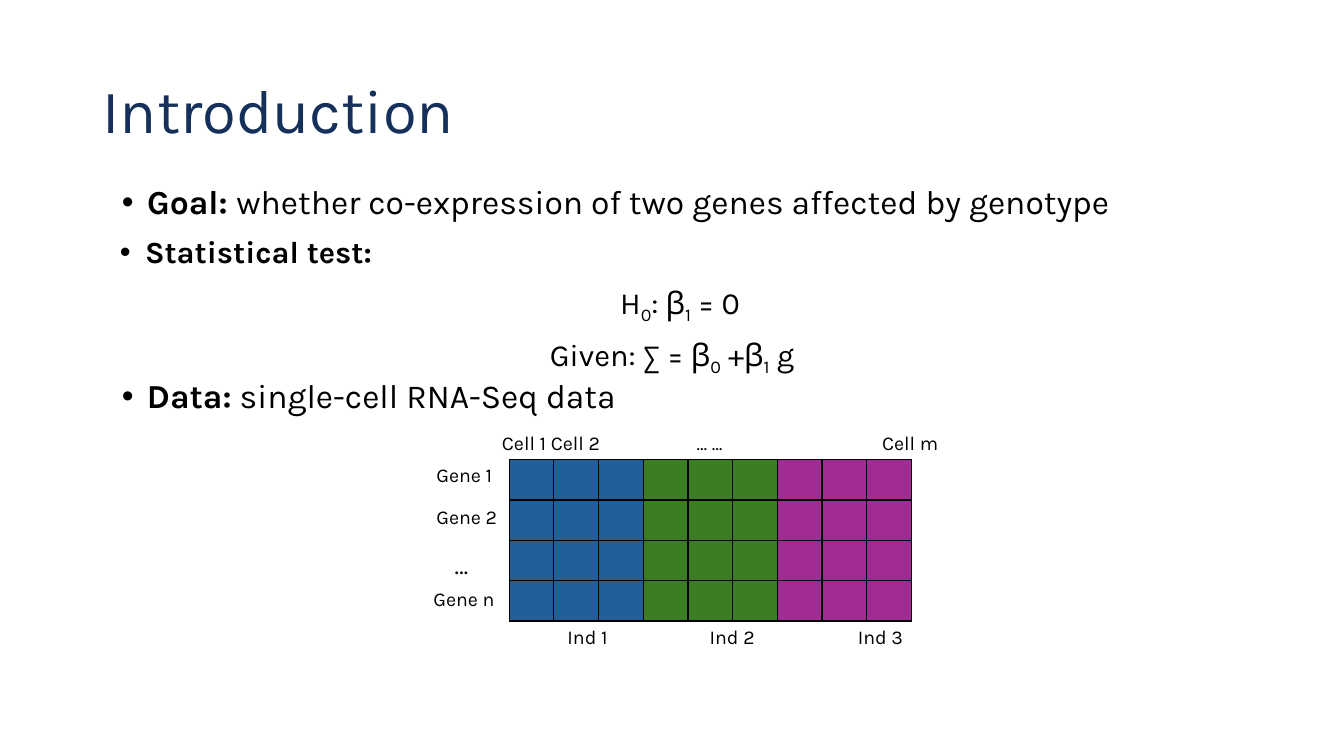
from dataclasses import dataclass

from lxml import etree
from pptx import Presentation
from pptx import util as u
from pptx.dml.color import RGBColor
from pptx.enum import text
from pptx.oxml import ns


@dataclass(frozen=True)
class Theme:
    font: str = "Karla"
    navy: str = "15305A"
    ink: str = "000000"
    groups: tuple = ("215F9A", "3B7D23", "A02B93")
    head: int = 44
    body: int = 24
    test: int = 22
    dots: int = 18
    label: int = 14
    border: int = 1


THEME = Theme()


def add_box(slide, box, wrap=True):
    frame = slide.shapes.add_textbox(*map(u.Inches, box)).text_frame
    frame.word_wrap = wrap
    return frame


def add_run(para, words, size, color=THEME.ink, bold=False, sub=False):
    run = para.add_run()
    run.text = words
    font = run.font
    font.name, font.size, font.bold = THEME.font, u.Pt(size), bold
    font.color.rgb = RGBColor.from_string(color)
    if sub:
        run._r.get_or_add_rPr().set("baseline", "-25000")


def set_space(para):
    para.line_spacing = 0.9
    para.space_before = u.Pt(10)


def add_bullet(para, lead, rest, size):
    set_space(para)
    props = para._p.get_or_add_pPr()
    props.set("marL", str(u.Inches(0.25)))
    props.set("indent", str(-u.Inches(0.25)))
    etree.SubElement(props, ns.qn("a:buFont")).set("typeface", "Arial")
    etree.SubElement(props, ns.qn("a:buChar")).set("char", "•")
    add_run(para, lead, size, bold=True)
    if rest:
        add_run(para, rest, size)


def add_math(para, parts, inset=0):
    set_space(para)
    para.alignment = text.PP_ALIGN.CENTER
    para._p.get_or_add_pPr().set("marR", str(u.Inches(inset)))
    for place, part in enumerate(parts):
        add_run(para, part, THEME.test, sub=place % 2 == 1)


def add_title(slide, box):
    frame = add_box(slide, box)
    frame.vertical_anchor = text.MSO_ANCHOR.MIDDLE
    para = frame.paragraphs[0]
    para.line_spacing = 0.9
    add_run(para, "Introduction", THEME.head, THEME.navy)


def add_point(slide, box, lead, rest):
    frame = add_box(slide, box)
    add_bullet(frame.paragraphs[0], lead, rest, THEME.body)


def add_test(slide, box):
    frame = add_box(slide, box)
    add_bullet(frame.paragraphs[0], "Statistical test:", "", THEME.test)
    add_math(frame.add_paragraph(), ("H", "0", ": β", "1", " = 0"))
    add_math(frame.add_paragraph(),
             ("Given: ∑ = β", "0", " +β", "1", " g"), inset=0.16)


def add_label(slide, left, top, words, size=THEME.label):
    frame = add_box(slide, (left, top, 1.22, 0.34), wrap=False)
    add_run(frame.paragraphs[0], words, size)


def style_cell(cell, color):
    cell.fill.solid()
    cell.fill.fore_color.rgb = RGBColor.from_string(color)
    cell.margin_top = cell.margin_bottom = 0
    props = cell._tc.get_or_add_tcPr()
    for place, side in enumerate(("lnL", "lnR", "lnT", "lnB")):
        line = etree.Element(ns.qn(f"a:{side}"), w=str(u.Pt(THEME.border)))
        fill = etree.SubElement(line, ns.qn("a:solidFill"))
        etree.SubElement(fill, ns.qn("a:srgbClr")).set("val", THEME.ink)
        props.insert(place, line)


def add_grid(slide, box, color, rows=4, cols=3):
    left, top, width, height = map(u.Inches, box)
    table = slide.shapes.add_table(rows, cols, left, top, width, height).table
    table.first_row = table.horz_banding = False
    for row in table.rows:
        row.height = height // rows
        for cell in row.cells:
            style_cell(cell, color)
    for col in table.columns:
        col.width = width // cols


def add_matrix(slide, box):
    left, top, width, height = box
    step = width / len(THEME.groups)
    for place, color in enumerate(THEME.groups):
        add_grid(slide, (left + place * step, top, step, height), color)
    for shift, drop, words in ((-0.82, -0.02, "Gene 1"),
                               (-0.82, 0.4, "Gene 2"),
                               (-0.85, 1.21, "Gene n")):
        add_label(slide, left + shift, top + drop, words)
    add_label(slide, left - 0.64, top + 0.84, "…", THEME.dots)
    for shift, words in ((-0.17, "Cell 1 Cell 2"), (1.76, "… …"),
                         (3.6, "Cell m")):
        add_label(slide, left + shift, top - 0.33, words)
    for shift, words in ((0.48, "Ind 1"), (1.89, "Ind 2"), (3.36, "Ind 3")):
        add_label(slide, left + shift, top + height - 0.01, words)


def main():
    deck = Presentation()
    deck.slide_width, deck.slide_height = u.Inches(13.33), u.Inches(7.5)
    slide = deck.slides.add_slide(deck.slide_layouts[6])
    add_title(slide, (0.92, 0.4, 11.5, 1.45))
    add_point(slide, (1.11, 1.79, 11.31, 0.8), "Goal: ",
              "whether co-expression of two genes affected by genotype")
    add_test(slide, (1.09, 2.3, 11.31, 1.4))
    add_point(slide, (1.11, 3.72, 5.64, 0.83), "Data:",
              " single-cell RNA-Seq data")
    add_matrix(slide, (5.05, 4.56, 3.99, 1.6))
    deck.save("out.pptx")


if __name__ == "__main__":
    main()
